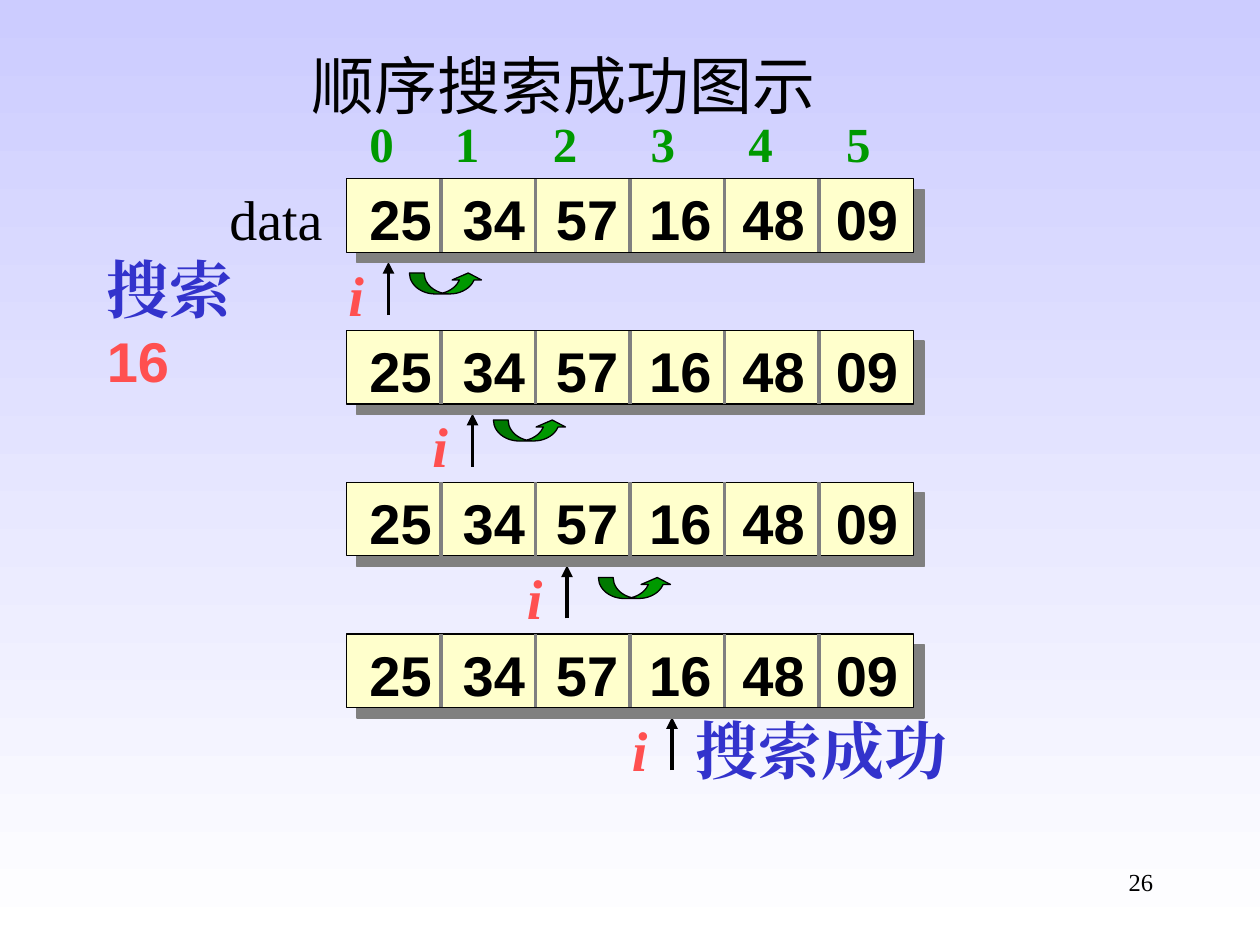
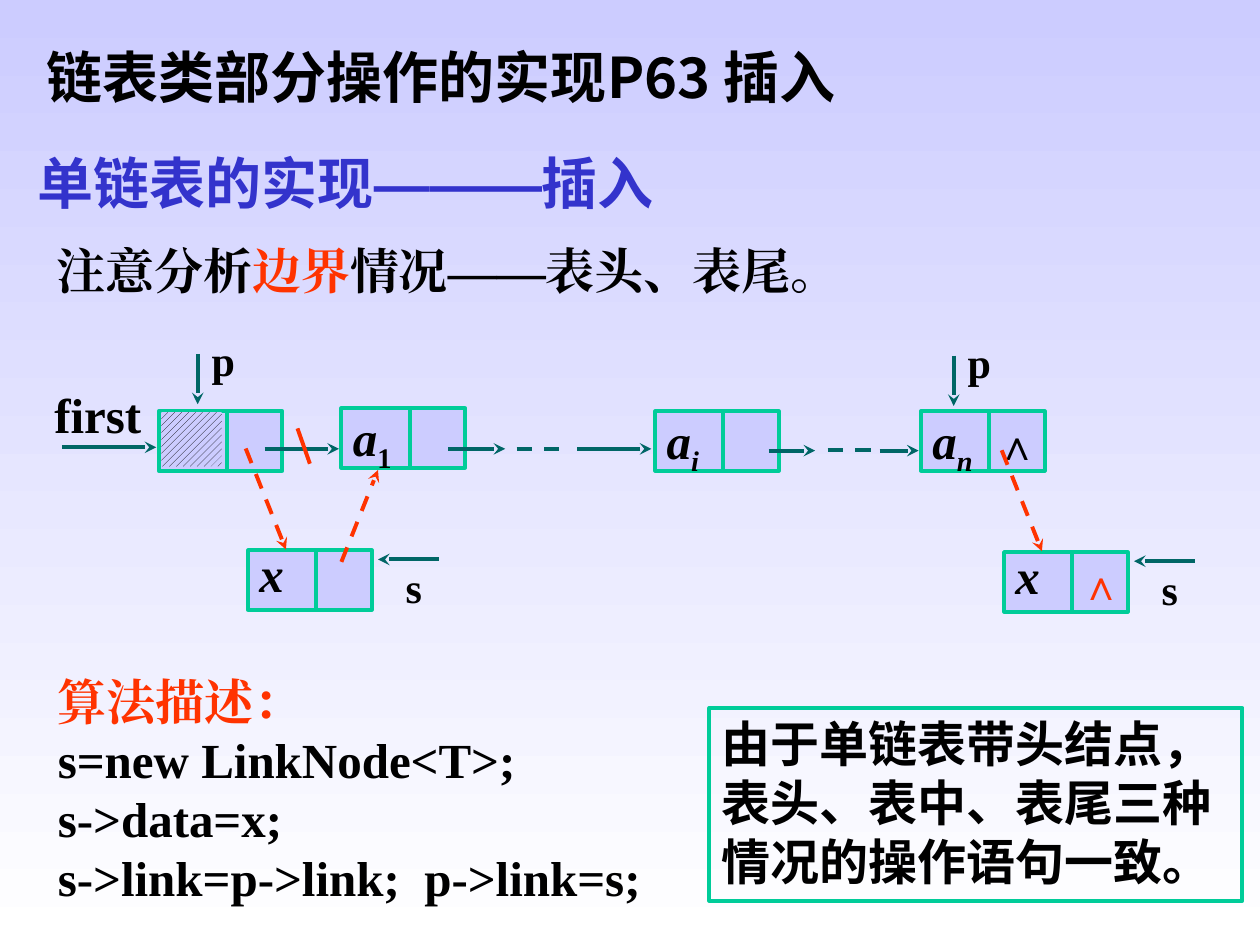
from lxml import etree
from pptx import Presentation
from pptx.dml.color import RGBColor
from pptx.enum.dml import MSO_LINE, MSO_PATTERN
from pptx.enum.shapes import MSO_CONNECTOR, MSO_SHAPE
from pptx.enum.text import MSO_ANCHOR, PP_ALIGN
from pptx.oxml.ns import qn
from pptx.util import Pt

RECT, HOP = MSO_SHAPE.RECTANGLE, MSO_SHAPE.CURVED_UP_ARROW
STRAIGHT, DASH = MSO_CONNECTOR.STRAIGHT, MSO_LINE.DASH
HATCH = MSO_PATTERN.WIDE_UPWARD_DIAGONAL
TOP, MIDDLE = MSO_ANCHOR.TOP, MSO_ANCHOR.MIDDLE
LEFT, CENTER, RIGHT, JUSTIFY = PP_ALIGN.LEFT, PP_ALIGN.CENTER, PP_ALIGN.RIGHT, PP_ALIGN.JUSTIFY

SERIF, SANS, CJK = "Times New Roman", "Arial", "Noto Sans CJK SC"
COLORS = {
    "black": "000000", "sky": "CCCCFF", "white": "FFFFFF", "cream": "FFFFCC",
    "gray": "808080", "green": "009900", "blue": "3333CC", "coral": "FF5050",
    "red": "FF3300", "teal": "006666", "mint": "00CC99",
}
INSETS = (7.2, 3.6, 7.2, 3.6)

DATA = ["25", "34", "57", "16", "48", "09"]
ROW_X, ROW_Y, ROW_PITCH = 198, 102.2, 86.7
CELL_W, CELL_H = 54, 42
POINTERS = [222, 270, 324, 384]
HOPS = [(234, 156), (282, 240), (342, 330)]

NODE_W, NODE_H, DATA_W = 70.6, 34, 39
LIST_NODES = [
    (90.7, 235, "", ""),
    (195.1, 233.3, "a", "1"),
    (374.4, 235, "a", "i"),
    (526.3, 235, "a", "n"),
]
LIST_ARROWS = [
    (35.3, 89.3, 255.6), (151.2, 193.7, 256.5), (256.3, 288.7, 256.5),
    (329.8, 372.2, 256.5), (439.2, 465.8, 257.5), (502.6, 524.9, 257.5),
]
LIST_DASHES = [(295.2, 319.7, 256.5), (473, 498.2, 257.2)]
INSERTIONS = [(0, 0), (432, 1)]
ALGORITHM = [
    [("算法描述：", {"color": "red"})],
    ["s=new LinkNode<T>;"],
    ["s->data=x;"],
    ["s->link=p->link;  p->link=s;"],
]
NOTE = "由于单链表带头结点，表头、表中、表尾三种情况的操作语句一致。"


def rgb(name):
    return RGBColor.from_string(COLORS[name])


def style_run(r, size, font, color, bold=True, italic=False, sub=False):
    r.font.size = Pt(size)
    r.font.name = font
    r.font.bold = bold
    r.font.italic = italic
    r.font.color.rgb = rgb(color)
    rPr = r._r.get_or_add_rPr()
    etree.SubElement(rPr, qn("a:ea")).set("typeface", font)
    if sub:
        rPr.set("baseline", "-25000")


def write(sp, paragraphs, size, font=SERIF, color="black", bold=True, italic=False,
          align=LEFT, anchor=TOP, insets=INSETS, spacing=None, tabs=()):
    base = dict(size=size, font=font, color=color, bold=bold, italic=italic)
    tf = sp.text_frame
    tf.word_wrap = True
    tf.vertical_anchor = anchor
    tf.margin_left, tf.margin_top, tf.margin_right, tf.margin_bottom = map(Pt, insets)
    for i, runs in enumerate(paragraphs):
        p = tf.add_paragraph() if i else tf.paragraphs[0]
        p.alignment = align
        if spacing:
            p.line_spacing = spacing
        if tabs:
            tab_list = etree.SubElement(p._p.get_or_add_pPr(), qn("a:tabLst"))
            for pos in tabs:
                etree.SubElement(tab_list, qn("a:tab"), pos=str(int(Pt(pos))), algn="l")
        for run in runs:
            words, changes = (run, {}) if isinstance(run, str) else run
            r = p.add_run()
            r.text = words
            style_run(r, **{**base, **changes})


def text(s, box, content, size, **options):
    paragraphs = [[content]] if isinstance(content, str) else content
    write(s.shapes.add_textbox(*map(Pt, box)), paragraphs, size, **options)


def shape(s, kind, box, fill=None, line=None, width=0.75):
    sp = s.shapes.add_shape(kind, *map(Pt, box))
    sp.shadow.inherit = False
    if fill:
        sp.fill.solid()
        sp.fill.fore_color.rgb = rgb(fill)
    else:
        sp.fill.background()
    if line:
        sp.line.color.rgb = rgb(line)
        sp.line.width = Pt(width)
    else:
        sp.line.fill.background()
    return sp


def line(s, x1, y1, x2, y2, color, head=None, dash=False):
    c = s.shapes.add_connector(STRAIGHT, Pt(x1), Pt(y1), Pt(x2), Pt(y2))
    c.line.color.rgb = rgb(color)
    c.line.width = Pt(2.25)
    if dash:
        c.line.dash_style = DASH
    if head:
        etree.SubElement(c.line._get_or_add_ln(), qn("a:tailEnd"), type=head)
    etree.SubElement(c._element.spPr, qn("a:effectLst"))


def add_slide(prs):
    s = prs.slides.add_slide(prs.slide_layouts[6])
    fill = s.background.fill
    fill.gradient()
    fill.gradient_angle = 270
    for stop, name in zip(fill.gradient_stops, ("sky", "white")):
        stop.color.rgb = rgb(name)
    return s


def drop_shadow(sp):
    effects = sp._element.spPr.find(qn("a:effectLst"))
    shadow = etree.SubElement(effects, qn("a:outerShdw"), dist=str(int(Pt(8.5))),
                              dir="2700000", algn="ctr", rotWithShape="0")
    etree.SubElement(shadow, qn("a:srgbClr"), val=COLORS["gray"])


def array_row(s, y, pointer_x):
    line(s, pointer_x, y + 77.8, pointer_x, y + 47.5, "black", "triangle")
    width = CELL_W * len(DATA)
    drop_shadow(shape(s, RECT, (ROW_X, y, width, CELL_H), "cream", "black"))
    text(s, (ROW_X + 6, y, width, 45), "\t".join(DATA), 32, font=SANS,
         tabs=[53.3 * k for k in range(1, len(DATA))])
    for k in range(1, len(DATA)):
        x = ROW_X + CELL_W * k
        line(s, x, y, x, y + CELL_H, "gray")
    text(s, (pointer_x - 30, y + 43, 23, 45), "i", 32, color="coral", italic=True)


def search_slide(prs):
    s = add_slide(prs)
    text(s, (110, 18, 423.5, 60), "顺序搜索成功图示", 36, font=CJK, bold=False,
         align=CENTER, anchor=MIDDLE)
    text(s, (204, 61.2, 310, 41), "\t".join(str(k) for k in range(len(DATA))), 28,
         color="green", tabs=[48.9 + 55.9 * k for k in range(len(DATA) - 1)])
    text(s, (124, 102.2, 75, 45), "data", 32, bold=False)
    text(s, (54, 139.7, 130, 90),
         [["搜索"], [("16", {"size": 32, "font": SANS, "color": "coral"})]], 36, color="blue")
    for i, pointer_x in enumerate(POINTERS):
        array_row(s, ROW_Y + ROW_PITCH * i, pointer_x)
    for x, y in HOPS:
        hop = shape(s, HOP, (x, y, 42, 12), "green", "black")
        for i, value in enumerate((0.7, 1.4, 0.333)):
            hop.adjustments[i] = value
    text(s, (390.2, 403.2, 191, 50), "搜索成功", 36, color="blue")
    text(s, (516, 492, 150, 36), "26", 14, bold=False, align=RIGHT)


def node(s, x, y, label="", sub=""):
    sp = shape(s, RECT, (x, y, NODE_W, NODE_H), "sky", "mint", 2.25)
    if label:
        runs = [label]
        if sub:
            runs.append((sub, {"sub": True, "italic": not sub.isdigit()}))
        write(sp, [runs], 28, italic=True, insets=(6.5, 0, 0, 5.8), spacing=0.9)
    line(s, x + DATA_W, y, x + DATA_W, y + NODE_H, "mint")


def null_mark(s, x, y, color):
    text(s, (x, y, 35.3, 36), "∧", 24, color=color, align=CENTER)


def insertion(s, dx, dy):
    line(s, 113 + dx, 202.3 + dy, 113 + dx, 231 + dy, "teal", "stealth")
    node(s, 141.8 + dx, 314.5 + dy, "x")
    line(s, 250.6 + dx, 319.7 + dy, 216 + dx, 319.7 + dy, "teal", "stealth")
    for label, x, y in (("p", 121, 191), ("s", 231.8, 321.1)):
        text(s, (x + dx, y + dy, 19.4, 29), label, 24, insets=(0, 0, 0, 0))
    line(s, 140.4 + dx, 256.3 + dy, 163.4 + dx, 314 + dy, "red", "stealth", True)


def insert_slide(prs):
    s = add_slide(prs)
    text(s, (19.4, 26, 680, 39.6), "链表类部分操作的实现P63 插入", 32, font=CJK,
         anchor=MIDDLE, spacing=0.9)
    text(s, (14.4, 86.4, 445, 39.6), "单链表的实现———插入", 32, font=SANS, color="blue",
         anchor=MIDDLE, spacing=0.9)
    text(s, (25.2, 134, 636, 41),
         [["注意分析", ("边界", {"color": "red"}), "情况——表头、表尾。"]], 28)
    text(s, (31, 219.6, 60, 36.7), "first", 28, insets=(0, 0, 0, 2.9))
    for spec_node in LIST_NODES:
        node(s, *spec_node)
    hatch = shape(s, RECT, (92.2, 235.6, 34.5, 31))
    hatch.fill.patterned()
    hatch.fill.pattern = HATCH
    hatch.fill.fore_color.rgb = rgb("black")
    hatch.fill.back_color.rgb = rgb("sky")
    for x1, x2, y in LIST_ARROWS:
        line(s, x1, y, x2, y, "teal", "stealth")
    for x1, x2, y in LIST_DASHES:
        line(s, x1, y, x2, y, "teal", dash=True)
    null_mark(s, 562.3, 235.4, "black")
    for dx, dy in INSERTIONS:
        insertion(s, dx, dy)
    line(s, 195.1, 321.1, 216, 268.6, "red", "stealth", True)
    line(s, 170, 244.8, 177.1, 265, "red")
    null_mark(s, 610.6, 315.4, "red")
    text(s, (26, 380.2, 401, 141.8), ALGORITHM, 28, align=JUSTIFY, spacing=Pt(33.5))
    note = shape(s, RECT, (405.4, 404.6, 304.6, 110.2), line="mint", width=2.25)
    write(note, [[NOTE]], 28, font=CJK, spacing=Pt(33.5))


def main():
    prs = Presentation()
    prs.slide_width, prs.slide_height = Pt(720), Pt(540)
    search_slide(prs)
    insert_slide(prs)
    prs.save("out.pptx")


if __name__ == "__main__":
    main()
